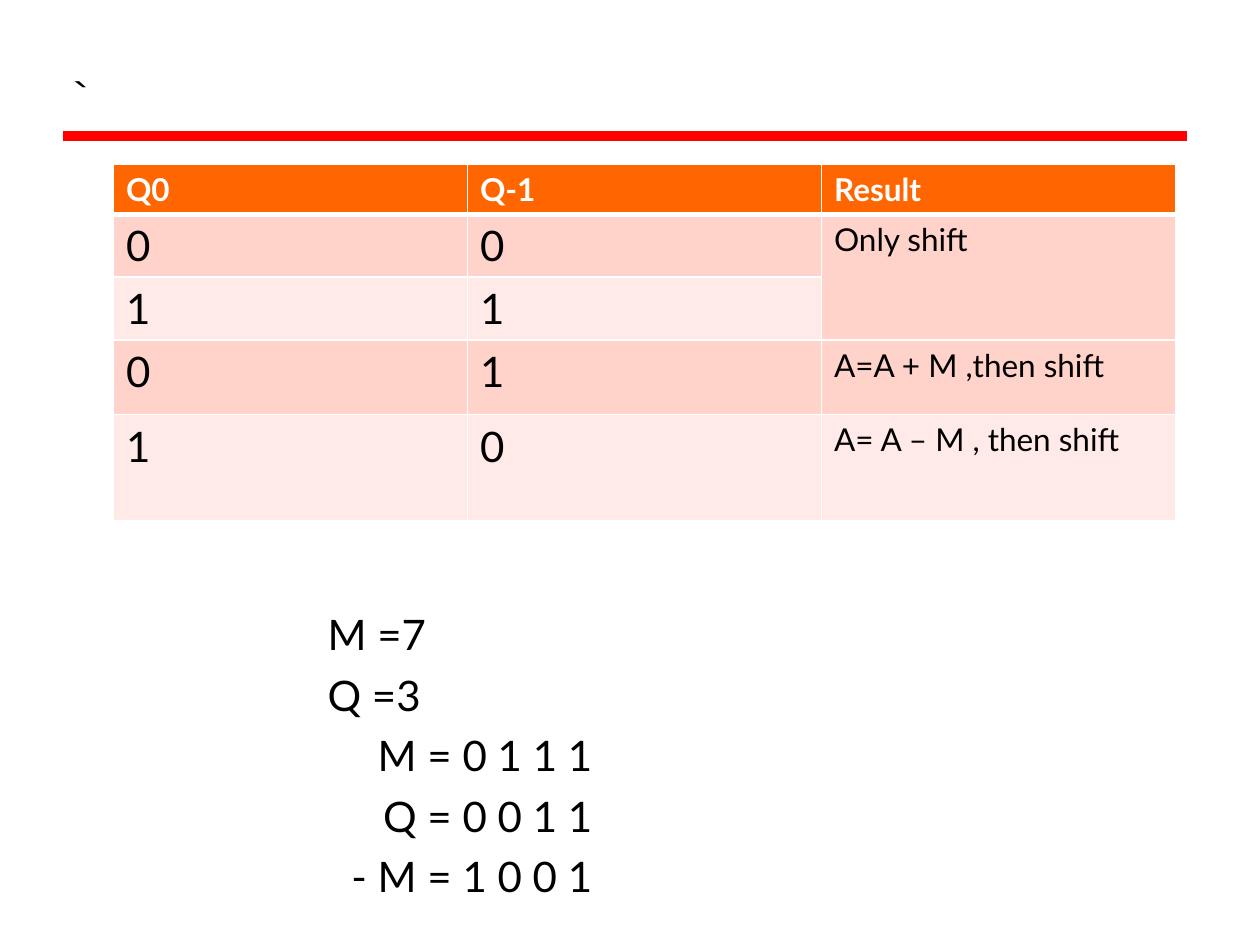
from lxml import etree
from pptx import Presentation, util as u
from pptx.dml.color import RGBColor
from pptx.enum import shapes, text
from pptx.oxml.ns import qn

THEME = {
    "font": "Lato", "title_font": "Montserrat",
    "black": "000000", "white": "FFFFFF", "rule": "FF0000",
    "header": "FF6600", "bands": ("FFD2CA", "FFEAE7"),
    "title": 28, "large": 24, "small": 18,
}
HEADING = "`"
HEADERS = ("Q0", "Q-1", "Result")
CASES = [
    ("0", "0", "Only shift"),
    ("1", "1", ""),
    ("0", "1", "A=A + M ,then shift"),
    ("1", "0", "A= A – M , then shift"),
]
ROW_HEIGHTS = (0.4, 0.5, 0.5, 0.59, 0.84)
COLUMN_WIDTH = 2.81
LEFT, RIGHT = text.PP_ALIGN.LEFT, text.PP_ALIGN.RIGHT
EXAMPLE = [
    ("M =7", LEFT), ("Q =3", LEFT),
    ("M = 0 1 1 1", RIGHT), ("Q = 0 0 1 1", RIGHT), ("- M = 1 0 0 1", RIGHT),
]


def apply(target, values):
    for name, value in values.items():
        setattr(target, name, value)


def write(paragraph, words, size, color="black", font="font", bold=False,
          before=0, align=LEFT):
    apply(paragraph, {"alignment": align, "space_before": u.Pt(before)})
    run = paragraph.add_run()
    run.text = words
    apply(run.font, {"name": THEME[font], "size": u.Pt(THEME[size]), "bold": bold})
    run.font.color.rgb = RGBColor.from_string(THEME[color])


def set_frame(frame, left=0, top=0):
    apply(frame, {
        "margin_left": u.Inches(left), "margin_top": u.Inches(top),
        "margin_right": 0, "margin_bottom": 0, "word_wrap": True,
        "auto_size": text.MSO_AUTO_SIZE.NONE,
        "vertical_anchor": text.MSO_ANCHOR.TOP,
    })


def border(cell, widths):
    properties = cell._tc.get_or_add_tcPr()
    for side, points in widths.items():
        line = etree.SubElement(properties, qn(f"a:{side}"), w=str(u.Pt(points)))
        fill = etree.SubElement(line, qn("a:solidFill"))
        etree.SubElement(fill, qn("a:srgbClr"), val=THEME["white"])


def add_heading(slide):
    title = slide.shapes.title
    apply(title, {"left": u.Inches(0.53), "top": u.Inches(0.53),
                  "width": u.Inches(0.16), "height": u.Inches(0.49)})
    set_frame(title.text_frame, 0.01, 0.01)
    write(title.text_frame.paragraphs[0], HEADING, "title", font="title_font", before=0.9)
    rule = slide.shapes.add_connector(
        shapes.MSO_CONNECTOR.STRAIGHT,
        u.Inches(0.5), u.Inches(1.08), u.Inches(9.42), u.Inches(1.08))
    rule.line.width = u.Pt(6)
    rule.line.color.rgb = RGBColor.from_string(THEME["rule"])
    etree.SubElement(rule._element.spPr, qn("a:effectLst"))


def add_example(slide):
    box = slide.shapes.add_textbox(
        u.Inches(2.59), u.Inches(4.74), u.Inches(2.11), u.Inches(2.43))
    frame = box.text_frame
    set_frame(frame, 0.01, 0.09)
    for index, (words, align) in enumerate(EXAMPLE):
        paragraph = frame.add_paragraph() if index else frame.paragraphs[0]
        write(paragraph, words, "large", before=5.8 if index else 6.8, align=align)


def add_rules_table(slide):
    rows = [HEADERS, *CASES]
    table = slide.shapes.add_table(
        len(rows), len(HEADERS), u.Inches(0.9), u.Inches(1.3),
        u.Inches(COLUMN_WIDTH * len(HEADERS)), u.Inches(sum(ROW_HEIGHTS))).table
    for column in table.columns:
        column.width = u.Inches(COLUMN_WIDTH)
    for r, (row, height) in enumerate(zip(rows, ROW_HEIGHTS)):
        table.rows[r].height = u.Inches(height)
        is_header = r == 0
        for c, words in enumerate(row):
            cell = table.cell(r, c)
            apply(cell, {"margin_left": u.Inches(0.1), "margin_right": 0,
                         "margin_top": u.Inches(0.05), "margin_bottom": 0})
            border(cell, {"lnL": 1, "lnR": 1, "lnT": 3 if r == 1 else 1,
                          "lnB": 3 if is_header else 1})
            cell.fill.solid()
            color = THEME["header"] if is_header else THEME["bands"][(r - 1) % 2]
            cell.fill.fore_color.rgb = RGBColor.from_string(color)
            if words:
                size = "small" if is_header or c == 2 else "large"
                write(cell.text_frame.paragraphs[0], words, size,
                      "white" if is_header else "black", bold=is_header, before=3.5)
    table.cell(1, 2).merge(table.cell(2, 2))


def main():
    deck = Presentation()
    apply(deck, {"slide_width": u.Inches(10), "slide_height": u.Inches(7.5)})
    slide = deck.slides.add_slide(deck.slide_layouts[5])
    add_heading(slide)
    add_example(slide)
    add_rules_table(slide)
    deck.save("out.pptx")


if __name__ == "__main__":
    main()
